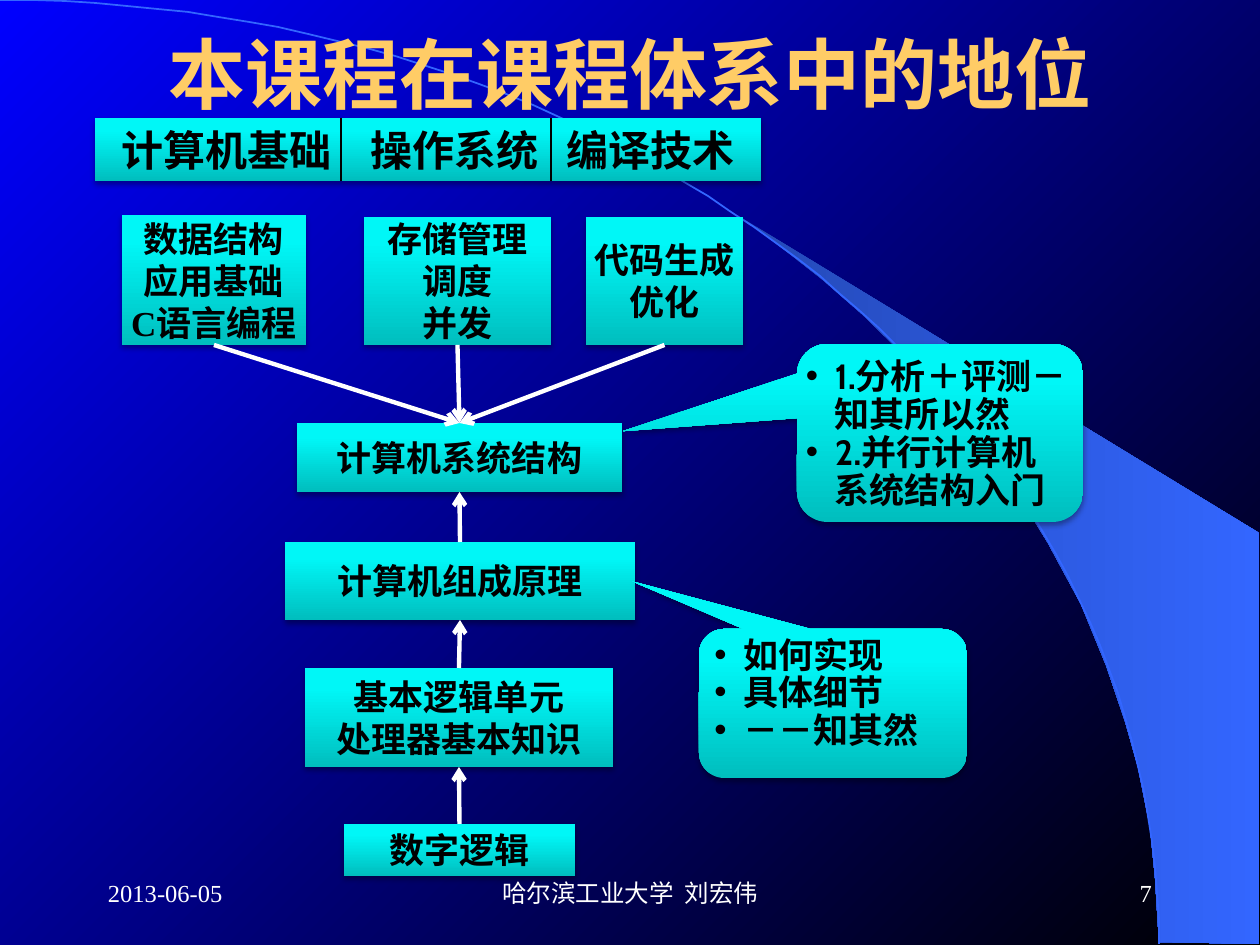
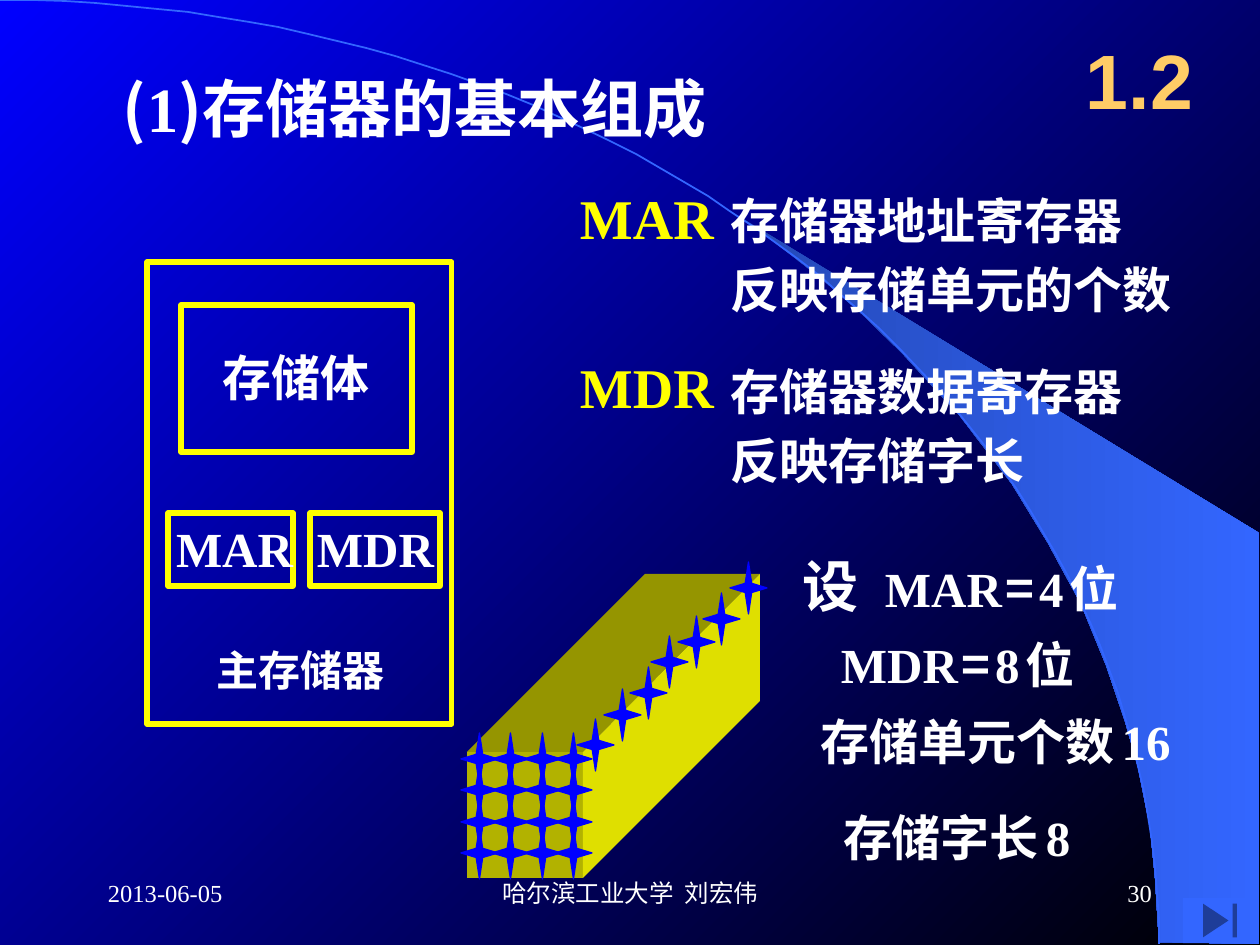
import pptx
import pptx.dml.color
import pptx.enum.shapes
import pptx.enum.text
import pptx.oxml
import pptx.oxml.ns
import pptx.util
from lxml import etree

PX = 914400 / 126
SERIF, SANS, CJK, ROUND = "Times New Roman", "Arial", "Noto Sans CJK SC", "Cabin"
COLORS = {
    "blue": "0000FF", "black": "000000", "white": "FFFFFF", "gold": "FFCC66",
    "yellow": "FFFF00", "sky": "3366FF", "band": "2449B6", "teal": "00BEBE",
    "cyan": "00F7F7", "front": "B2B200", "top": "959500", "side": "DFDF00",
}
KINDS = pptx.enum.shapes.MSO_SHAPE

BAND = [(1159, 942), (1259, 944), (1259, 533), (742, 218), (786, 251), (823, 280),
        (863, 315), (902, 353), (960, 416), (1012, 484), (1048, 543), (1081, 604),
        (1106, 665), (1125, 721), (1138, 767), (1150, 827), (1155, 877)]
ARC = [(0, 0), (640, 0), (1159, 422), (1159, 944)]
ARC_STEPS = 60
DATE, AUTHOR = "2013-06-05", "哈尔滨工业大学  刘宏伟"
FOOTER_TOP, FOOTER_HEIGHT = 861, 63

COURSE_TITLE = "本课程在课程体系中的地位"
SUBJECTS = "计算机基础\t操作系统\t编译技术"
SUBJECT_BAR = (95, 118, 666, 63)
SUBJECT_TABS = (249, 445)
SUBJECT_DIVIDERS = (341, 551)
TOPICS = [
    ("数据结构\n应用基础\nC语言编程", (122, 215, 184, 130)),
    ("存储管理\n调度\n并发", (364, 217, 187, 128)),
    ("代码生成\n优化", (586, 217, 157, 128)),
]
COURSES = [
    ("计算机系统结构", (297, 423, 325, 69)),
    ("计算机组成原理", (285, 542, 350, 78)),
    ("基本逻辑单元\n处理器基本知识", (305, 668, 308, 99)),
    ("数字逻辑", (344, 824, 231, 52)),
]
CALLOUTS = [
    ("如何实现\n具体细节\n－－知其然", (699, 629, 268, 149), (-0.75, -0.82, 0.17), (8, 1, 8, 1)),
    ("1.分析＋评测－知其所以然\n2.并行计算机系统结构入门", (797, 344, 286, 178),
     (-1.11, -0.01, 0.17), (0, 6, 5, 1)),
]

MEMORY_TITLE = [("(", 36, CJK), ("1", 36, SERIF), (")存储器的基本组成", 36, CJK)]
SECTION = "1.2"
REGISTERS = [
    ("MAR", (567, 177), "存储器地址寄存器\n反映存储单元的个数", (718, 185)),
    ("MDR", (567, 346), "存储器数据寄存器\n反映存储字长", (718, 356)),
]


def equation(register, bits):
    return [(register, 28, SERIF), (" ", 9, CJK), ("=", 28, CJK), (" ", 12, CJK),
            (bits, 28, SERIF), (" ", 14, CJK), ("位", 28, CJK)]


def quantity(label, value):
    return [(label, 28, CJK), (" ", 18, CJK), (value, 28, SERIF)]


EXAMPLE = [
    ([("设\t", 32, CJK)] + equation("MAR", "4"), (790, 545), 32),
    (equation("MDR", "8"), (828, 629), 28),
    (quantity("存储单元个数", "16"), (808, 706), 28),
    (quantity("存储字长", "8"), (830, 802), 28),
]
EXAMPLE_TAB = 82
MEMORY_FRAMES = [(147, 262, 305, 462), (181, 305, 231, 147),
                 (168, 513, 125, 73), (310, 513, 130, 73)]
MEMORY_LABELS = [
    ("存储体", (223, 342, 160, 70), 28, CJK),
    ("MAR", (176, 513, 120, 70), 28, SERIF),
    ("MDR", (317, 513, 120, 70), 28, SERIF),
    ("主存储器", (217, 639, 180, 60), 24, CJK),
]
CUBE = {
    "front": [(467, 752), (583, 752), (583, 878), (467, 878)],
    "top": [(467, 752), (645, 574), (760, 574), (583, 752)],
    "side": [(583, 752), (760, 574), (760, 701), (583, 878)],
}
STAR_SIZE = (37, 52)
STAR_GRID = [(461 + 63 * column // 2, 733 + 63 * row // 2)
             for row in range(4) for column in range(4)]
STAR_EDGE = [(577, 719), (604, 689), (630, 667), (651, 636), (678, 616), (703, 593), (730, 562)]
END_BUTTON = (1183, 898, 74, 45)


def px(*lengths):
    return [pptx.util.Emu(round(length * PX)) for length in lengths]


def rgb(name):
    return pptx.dml.color.RGBColor.from_string(COLORS[name])


def xml_child(parent, tag, **attributes):
    return etree.SubElement(parent, pptx.oxml.ns.qn(tag), attributes)


def blend(fill, start, end, angle, end_at=1.0):
    fill.gradient()
    fill.gradient_angle = angle
    first, last = fill.gradient_stops
    first.color.rgb, first.position = rgb(start), 0
    last.color.rgb, last.position = rgb(end), end_at


def paint(shape, fill=None, line=None, width=1, shadow=False):
    shape.shadow.inherit = shadow
    if fill:
        shape.fill.solid()
        shape.fill.fore_color.rgb = rgb(fill)
    else:
        shape.fill.background()
    if line:
        shape.line.color.rgb = rgb(line)
        shape.line.width = pptx.util.Pt(width)
    else:
        shape.line.fill.background()
    return shape


def write(shape, text, size=20, font=SERIF, color="black", bold=True, align="CENTER",
          anchor="MIDDLE", inset=(0, 0, 0, 0), wrap=True, pitch=1.2, space=0,
          bullet_indent=0, tabs=()):
    frame = shape.text_frame
    frame.auto_size = pptx.enum.text.MSO_AUTO_SIZE.NONE
    frame.word_wrap = wrap
    frame.vertical_anchor = pptx.enum.text.MSO_ANCHOR[anchor]
    (frame.margin_left, frame.margin_top,
     frame.margin_right, frame.margin_bottom) = px(*inset)
    if isinstance(text, str):
        paragraphs = [[(row, size, font)] for row in text.split("\n")]
    else:
        paragraphs = [text]
    for index, runs in enumerate(paragraphs):
        paragraph = frame.add_paragraph() if index else frame.paragraphs[0]
        paragraph.alignment = pptx.enum.text.PP_ALIGN[align]
        paragraph.line_spacing = pptx.util.Pt(round(size * pitch, 1))
        paragraph.space_before = pptx.util.Pt(space if index else 0)
        properties = paragraph._p.get_or_add_pPr()
        if bullet_indent:
            indent = px(bullet_indent)[0]
            properties.set("marL", str(indent))
            properties.set("indent", str(-indent))
            xml_child(properties, "a:buFont", typeface=SANS)
            xml_child(properties, "a:buChar", char="•")
        if tabs:
            stops = xml_child(properties, "a:tabLst")
            for stop in px(*tabs):
                xml_child(stops, "a:tab", pos=str(stop), algn="l")
        for words, run_size, run_font in runs:
            run = paragraph.add_run()
            run.text = words
            run.font.size = pptx.util.Pt(run_size)
            run.font.bold = bold
            run.font.color.rgb = rgb(color)
            run.font.name = run_font
            xml_child(run._r.get_or_add_rPr(), "a:ea", typeface=CJK)


def label(slide, text, place, inset=(13, 6, 13, 6), color="white", **form):
    write(slide.shapes.add_textbox(*px(*place)), text, inset=inset, color=color, **form)


def outline(slide, points, closed=True):
    builder = slide.shapes.build_freeform(*points[0], scale=PX)
    builder.add_line_segments(points[1:], close=closed)
    return builder.convert_to_shape()


def connect(slide, start, end, color, width, arrow=False):
    straight = pptx.enum.shapes.MSO_CONNECTOR.STRAIGHT
    connector = slide.shapes.add_connector(straight, *px(*start, *end))
    connector.line.color.rgb = rgb(color)
    connector.line.width = pptx.util.Pt(width)
    if arrow:
        xml_child(connector.line._get_or_add_ln(), "a:tailEnd", type="arrow")
    xml_child(connector._element.spPr, "a:effectLst")


def arc_point(t):
    weights = ((1 - t) ** 3, 3 * t * (1 - t) ** 2, 3 * t * t * (1 - t), t ** 3)
    return tuple(sum(w * point[axis] for w, point in zip(weights, ARC)) for axis in (0, 1))


def add_page(deck, title, place, number, **form):
    slide = deck.slides.add_slide(deck.slide_layouts[5])
    band = paint(outline(slide, BAND))
    blend(band.fill, "band", "sky", 0)
    arc = [arc_point(step / ARC_STEPS) for step in range(ARC_STEPS + 1)]
    paint(outline(slide, arc, closed=False), line="sky")
    heading = slide.shapes.title
    heading._element.getparent().append(heading._element)
    heading.left, heading.top, heading.width, heading.height = px(*place)
    write(heading, title, inset=(13, 6, 13, 6), **form)
    footers = [(DATE, 95, 262, "LEFT"), (AUTHOR, 431, 399, "CENTER"), (number, 903, 262, "RIGHT")]
    for text, left, width, align in footers:
        label(slide, text, (left, FOOTER_TOP, width, FOOTER_HEIGHT),
              size=14, bold=False, align=align)
    return slide


def cyan_box(slide, text, place, kind=KINDS.RECTANGLE, adjust=(), **form):
    box = paint(slide.shapes.add_shape(kind, *px(*place)), shadow=True)
    for index, value in enumerate(adjust):
        box.adjustments[index] = value
    blend(box.fill, "teal", "cyan", 90, end_at=0.8)
    write(box, text, **form)


def top_middle(place):
    left, top, width, height = place
    return left + width / 2, top


def bottom_middle(place):
    left, top, width, height = place
    return left + width / 2, top + height


def build_course_map(deck):
    slide = add_page(deck, COURSE_TITLE, (95, 4, 1071, 137), "7",
                     size=44, font=SANS, color="gold")
    cyan_box(slide, SUBJECTS, SUBJECT_BAR, size=24, align="LEFT",
             inset=(27, 0, 0, 0), tabs=SUBJECT_TABS)
    bar_top, bar_height = SUBJECT_BAR[1], SUBJECT_BAR[3]
    for x in SUBJECT_DIVIDERS:
        connect(slide, (x, bar_top), (x, bar_top + bar_height), "black", 1)
    for text, place in TOPICS + COURSES:
        cyan_box(slide, text, place, wrap=False)
    for text, place, adjust, inset in CALLOUTS:
        cyan_box(slide, text, place, KINDS.ROUNDED_RECTANGULAR_CALLOUT, adjust, font=ROUND,
                 align="LEFT", anchor="TOP", inset=inset, pitch=1.08, bullet_indent=29)
    for text, place in TOPICS:
        connect(slide, bottom_middle(place), top_middle(COURSES[0][1]), "white", 2.5, arrow=True)
    for (_, upper), (_, lower) in zip(COURSES, COURSES[1:]):
        connect(slide, top_middle(lower), bottom_middle(upper), "white", 2.5, arrow=True)


def build_memory(deck):
    slide = add_page(deck, MEMORY_TITLE, (110, 63, 808, 88), "30",
                     size=36, color="white", align="LEFT", anchor="TOP")
    label(slide, SECTION, (1061, 21, 157, 116), size=44, font=SANS, color="gold")
    left_top = {"align": "LEFT", "anchor": "TOP"}
    for name, name_at, meaning, meaning_at in REGISTERS:
        label(slide, name, (*name_at, 190, 79), size=32, color="yellow", **left_top)
        label(slide, meaning, (*meaning_at, 480, 142), size=28, font=CJK,
              wrap=False, space=5.5, **left_top)
    for runs, corner, size in EXAMPLE:
        label(slide, runs, (*corner, 420, 72), size=size, tabs=(EXAMPLE_TAB,), **left_top)
    for face, points in CUBE.items():
        paint(outline(slide, points), fill=face)
    for corner in STAR_GRID + STAR_EDGE:
        star = slide.shapes.add_shape(KINDS.STAR_4_POINT, *px(*corner, *STAR_SIZE))
        star.adjustments[0] = 0.125
        paint(star, fill="blue", line="blue", width=0.75)
    for place in MEMORY_FRAMES:
        paint(slide.shapes.add_shape(KINDS.RECTANGLE, *px(*place)), line="yellow", width=3)
    for text, place, size, font in MEMORY_LABELS:
        label(slide, text, place, inset=(0, 6, 0, 6), size=size, font=font,
              wrap=False, **left_top)
    paint(slide.shapes.add_shape(KINDS.ACTION_BUTTON_END, *px(*END_BUTTON)), fill="sky")


def main():
    deck = pptx.Presentation()
    deck.slide_width, deck.slide_height = px(1260, 945)
    blend(deck.slide_master.background.fill, "blue", "black", 315)
    build_course_map(deck)
    build_memory(deck)
    deck.save("out.pptx")


if __name__ == "__main__":
    main()
